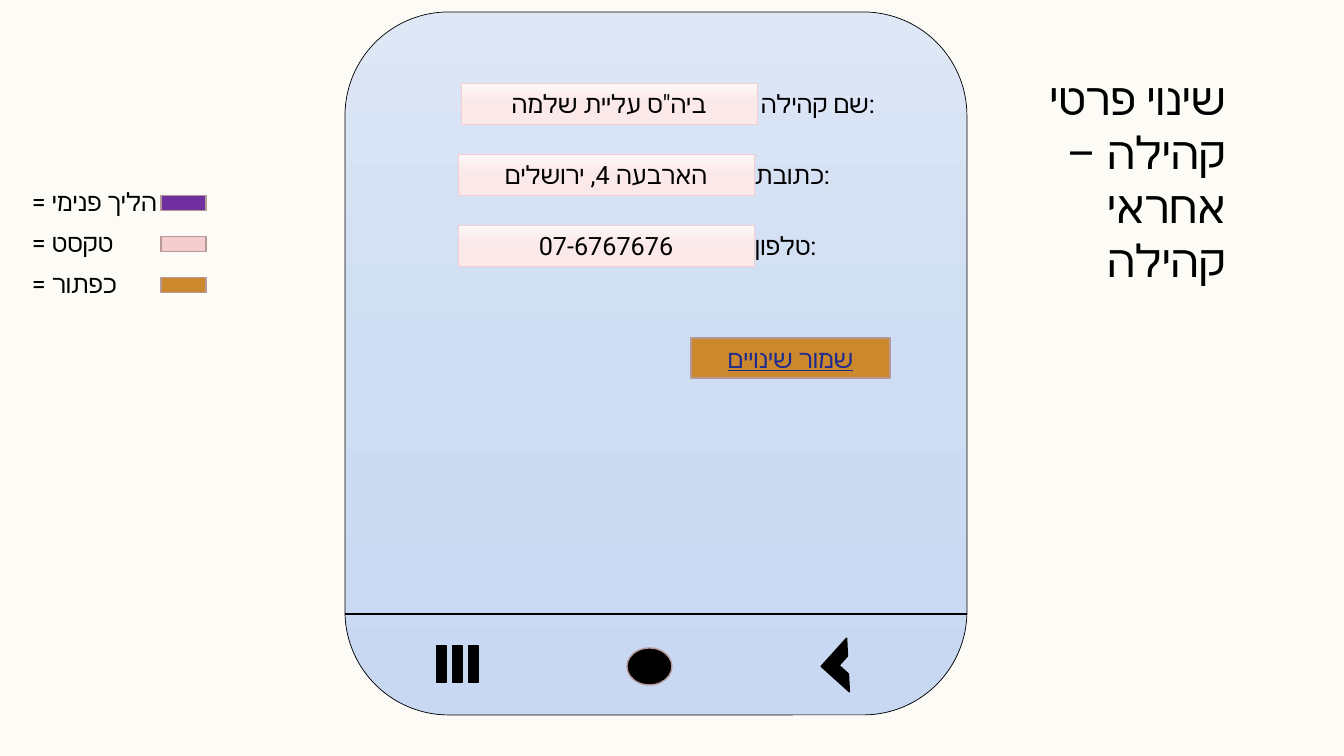
"""Build the community-details screen mock-up slide."""
from copy import deepcopy
from dataclasses import dataclass
from typing import Any, NamedTuple

from lxml.etree import SubElement
from pptx import Presentation
from pptx.dml.color import RGBColor
from pptx.enum.shapes import MSO_CONNECTOR as Connector, MSO_SHAPE as Preset
from pptx.enum.text import MSO_ANCHOR as Anchor, MSO_AUTO_SIZE as AutoSize, PP_ALIGN as Align
from pptx.oxml.ns import qn
from pptx.util import Emu, Pt

EMU_PER_PX = 914400 / 100.8


@dataclass(frozen=True)
class Theme:
    font: str = "Roboto"
    title_size: int = 32
    body_size: int = 18
    page: str = "FCFBF6"
    ink: str = "000000"
    link: str = "1F2C8F"
    edge: str = "B59898"
    process: str = "7030A0"
    text: str = "F5CDCE"
    button: str = "CC882D"
    screen: tuple[str, ...] = ("DDE7F6", "CFDDF2", "C8D8F2")
    field: tuple[str, ...] = ("FDF7F7", "FBE8E9", "FBE5E6")


class Box(NamedTuple):
    left: int
    top: int
    width: int
    height: int


class Field(NamedTuple):
    label: str
    value: str
    left: int
    align: Align


class LegendEntry(NamedTuple):
    caption: str
    color: str


class NavIcon(NamedTuple):
    preset: Preset
    box: Box
    edge: str
    rotation: int = 0


THEME = Theme()
FIELDS = (
    Field("שם קהילה:", 'ביה"ס עליית שלמה', 461, Align.RIGHT),
    Field("כתובת:", "הארבעה 4, ירושלים", 458, Align.LEFT),
    Field("טלפון:", "07-6767676", 458, Align.LEFT),
)
LEGEND = (
    LegendEntry("= הליך פנימי", THEME.process),
    LegendEntry("= טקסט", THEME.text),
    LegendEntry("= כפתור", THEME.button),
)
NAV_ICONS = (
    NavIcon(Preset.OVAL, Box(627, 648, 45, 37), THEME.edge),
    NavIcon(Preset.HALF_FRAME, Box(829, 646, 38, 38), THEME.ink, 312),
    *(NavIcon(Preset.MATH_MINUS, Box(416 + 16 * bar, 645, 51, 38), THEME.ink, 90)
      for bar in range(3)),
)


def px(length: int) -> Emu:
    """Convert pixels to EMU."""
    return Emu(round(length * EMU_PER_PX))


def emu(box: Box) -> tuple[Emu, ...]:
    """Convert a pixel box to EMU lengths."""
    return tuple(px(length) for length in box)


def rgb(color: str) -> RGBColor:
    """Read a hexadecimal colour."""
    return RGBColor.from_string(color)


def apply(target: Any, formats: dict[str, Any]) -> None:
    """Set each named format value on the target."""
    for name, value in formats.items():
        setattr(target, name, value)


def write(shape: Any, words: str, align: Align, size: int = THEME.body_size,
          color: str = THEME.ink, underline: bool | None = None, **frame: Any) -> None:
    """Fill a shape with one formatted paragraph."""
    apply(shape.text_frame, {"word_wrap": True, **frame})
    paragraph = shape.text_frame.paragraphs[0]
    paragraph.alignment = align
    run = paragraph.add_run()
    run.text = words
    apply(run.font, {"name": THEME.font, "size": Pt(size), "underline": underline})
    run.font.color.rgb = rgb(color)
    SubElement(run.font._element, qn("a:cs"), typeface=THEME.font)


def paint_gradient(shape: Any, colors: tuple[str, ...]) -> None:
    """Fill a shape from top to bottom with evenly spaced colours."""
    shape.fill.gradient()
    shape.fill.gradient_angle = 270
    stop_list = shape.element.spPr.find(".//" + qn("a:gsLst"))
    for _ in colors[len(stop_list):]:
        stop_list.append(deepcopy(stop_list[0]))
    for order, (stop, color) in enumerate(zip(shape.fill.gradient_stops, colors)):
        stop.position = order / (len(colors) - 1)
        stop.color.rgb = rgb(color)


def draw(shapes: Any, preset: Preset, box: Box, fill: str | tuple[str, ...],
         edge: str = THEME.edge, weight: float = 1, rotation: int = 0) -> Any:
    """Draw a filled and outlined preset shape."""
    shape = shapes.add_shape(preset, *emu(box))
    shape.shadow.inherit = False
    shape.rotation = rotation
    if isinstance(fill, tuple):
        paint_gradient(shape, fill)
    else:
        shape.fill.solid()
        shape.fill.fore_color.rgb = rgb(fill)
    shape.line.color.rgb = rgb(edge)
    shape.line.width = Pt(weight)
    return shape


def draw_phone(shapes: Any) -> None:
    """Draw the screen and its navigation bar."""
    draw(shapes, Preset.ROUNDED_RECTANGLE, Box(345, 12, 622, 703),
         THEME.screen, THEME.ink, 0.5)
    divider = shapes.add_connector(Connector.STRAIGHT, px(345), px(614), px(967), px(614))
    divider.line.color.rgb = rgb(THEME.ink)
    divider.line.width = Pt(1.5)
    SubElement(divider.element.spPr, qn("a:effectLst"))
    for icon in NAV_ICONS:
        draw(shapes, icon.preset, icon.box, THEME.ink, icon.edge, rotation=icon.rotation)


def draw_title(title: Any) -> None:
    """Place and write the slide title."""
    apply(title, dict(zip(("left", "top", "width", "height"), emu(Box(994, 66, 242, 228)))))
    write(title, "שינוי פרטי קהילה – אחראי קהילה", Align.RIGHT, THEME.title_size,
          vertical_anchor=Anchor.TOP, auto_size=AutoSize.SHAPE_TO_FIT_TEXT)


def draw_legend(shapes: Any) -> None:
    """Draw the grouped colour key."""
    key = shapes.add_group_shape().shapes
    for row, entry in enumerate(LEGEND):
        draw(key, Preset.MATH_MINUS, Box(153, 171 + 41 * row, 61, 64), entry.color)
        caption = key.add_textbox(*emu(Box(22, 181 + 41 * row, 146, 40)))
        write(caption, entry.caption, Align.LEFT, word_wrap=False,
              auto_size=AutoSize.SHAPE_TO_FIT_TEXT)


def draw_form(shapes: Any) -> None:
    """Draw the labelled fields and the save button."""
    for row, field in enumerate(FIELDS):
        top = 83 + 71 * row
        label = shapes.add_textbox(*emu(Box(field.left + 287, top, 137, 40)))
        write(label, field.label, field.align, auto_size=AutoSize.SHAPE_TO_FIT_TEXT)
        entry = draw(shapes, Preset.RECTANGLE, Box(field.left, top, 296, 41),
                     THEME.field, THEME.text, 0.5)
        write(entry, field.value, Align.CENTER, vertical_anchor=Anchor.MIDDLE)
    save = draw(shapes, Preset.RECTANGLE, Box(691, 338, 199, 40), THEME.button)
    write(save, "שמור שינויים", Align.CENTER, color=THEME.link, underline=True,
          vertical_anchor=Anchor.MIDDLE)


def main() -> None:
    """Build and save the slide."""
    deck = Presentation()
    apply(deck, {"slide_width": px(1344), "slide_height": px(756)})
    slide = deck.slides.add_slide(deck.slide_layouts[5])
    slide.background.fill.solid()
    slide.background.fill.fore_color.rgb = rgb(THEME.page)
    draw_phone(slide.shapes)
    draw_title(slide.shapes.title)
    draw_legend(slide.shapes)
    draw_form(slide.shapes)
    deck.save("out.pptx")


if __name__ == "__main__":
    main()
